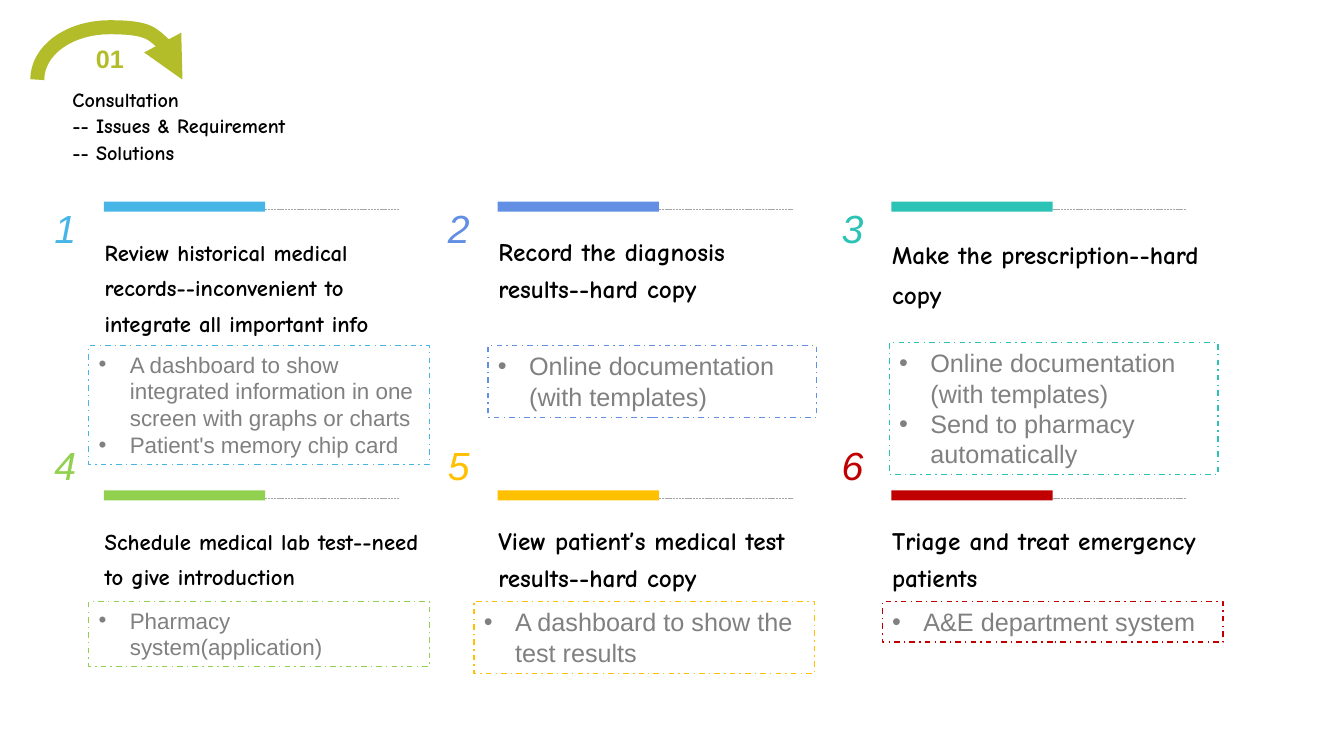
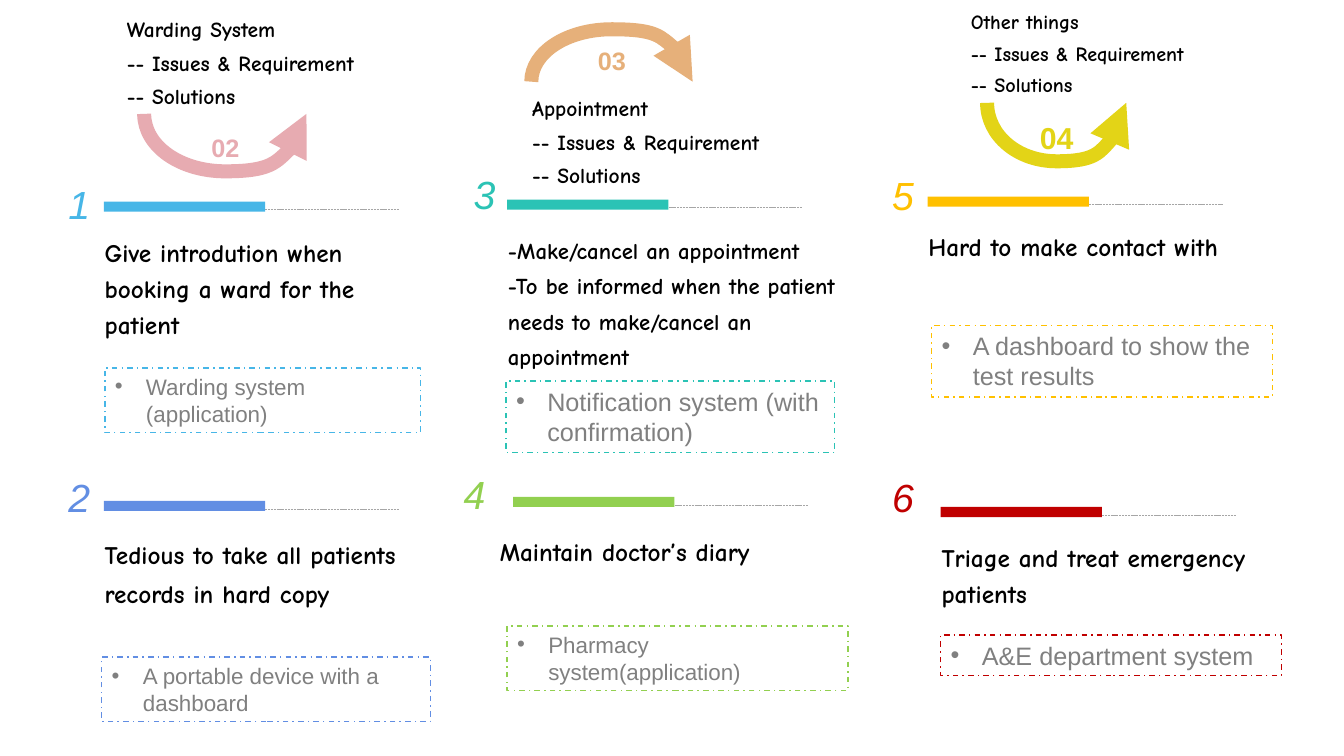
from dataclasses import dataclass

from lxml.etree import SubElement
from pptx import Presentation
from pptx.dml.color import RGBColor
from pptx.enum.dml import MSO_LINE
from pptx.enum.shapes import MSO_CONNECTOR, MSO_SHAPE
from pptx.enum.text import MSO_ANCHOR, MSO_AUTO_SIZE, PP_ALIGN
from pptx.oxml.ns import qn
from pptx.util import Inches, Pt

BLACK = RGBColor(0x00, 0x00, 0x00)
GREY = RGBColor(0x80, 0x80, 0x80)
RULE_GREY = RGBColor(0xA6, 0xA6, 0xA6)
BLUE = RGBColor(0x47, 0xB6, 0xE7)
INDIGO = RGBColor(0x62, 0x8E, 0xE3)
TEAL = RGBColor(0x2B, 0xC3, 0xB5)
GREEN = RGBColor(0x92, 0xD0, 0x50)
AMBER = RGBColor(0xFF, 0xC0, 0x00)
RED = RGBColor(0xC0, 0x00, 0x00)
OLIVE = RGBColor(0xB2, 0xBD, 0x29)
PINK = RGBColor(0xE7, 0xAB, 0xB1)
SAND = RGBColor(0xE6, 0xB0, 0x7A)
YELLOW = RGBColor(0xE3, 0xD4, 0x17)
ACCENTS = [BLUE, INDIGO, TEAL, GREEN, AMBER, RED]

BODY_FONT = "Arial"
HAND_FONT = "Comic Neue"
SUBTITLES = ["-- Issues & Requirement", "-- Solutions"]
GRID_LEFT, GRID_TOP = 1.03, 2.0
COLUMN_STEP, ROW_STEP = 3.905, 2.865
BAR_WIDTH, BAR_HEIGHT = 1.6, 0.1
RULE_START, RULE_END, RULE_DROP = 0.92, 2.93, 0.08
CURVE_X, CURVE_Y = 0.22, 0.56


@dataclass
class Card:
    """One numbered issue with its boxed solutions; places are in inches."""

    number: int
    bar: tuple
    number_shift: tuple
    issues: list
    solutions: list
    box: tuple
    issue_size: float = 18
    issue_spacing: float = 1.2
    solution_size: float = 18
    heading: tuple = (3.33, 0.86)
    heading_shift: tuple = (-0.09, 0.24)


@dataclass
class Section:
    """A section title with its number under or over a curved arrow."""

    number: str
    color: RGBColor
    arc: tuple
    opens_down: bool
    title: str
    title_box: tuple
    title_size: float
    spacing: float = 1.3
    number_size: float = 18
    anchor: MSO_ANCHOR = MSO_ANCHOR.TOP


def cell(column, row):
    """Return the bar position in a cell of the card grid."""
    return GRID_LEFT + column * COLUMN_STEP, GRID_TOP + row * ROW_STEP


def shifted(point, shift):
    """Move a point by a shift."""
    return point[0] + shift[0], point[1] + shift[1]


def write(shape, lines, font, size, color, bold=False, italic=False,
          spacing=None, align=PP_ALIGN.LEFT, anchor=MSO_ANCHOR.TOP):
    """Fill a shape with one paragraph a line and return the paragraphs."""
    frame = shape.text_frame
    frame.word_wrap = True
    frame.vertical_anchor = anchor
    for index, line in enumerate(lines):
        paragraph = frame.add_paragraph() if index else frame.paragraphs[0]
        paragraph.alignment = align
        if spacing:
            paragraph.line_spacing = spacing
        run = paragraph.add_run()
        run.text = line
        run.font.name = font
        run.font.size = Pt(size)
        run.font.bold = bold
        run.font.italic = italic
        run.font.color.rgb = color
    return frame.paragraphs


def add_text(slide, box, *content, **style):
    """Add a wrapping text box."""
    write(slide.shapes.add_textbox(*map(Inches, box)), *content, **style)


def add_rectangle(slide, box):
    """Add a rectangle without shadow."""
    shape = slide.shapes.add_shape(MSO_SHAPE.RECTANGLE, *map(Inches, box))
    shape.shadow.inherit = False
    return shape


def add_bar(slide, bar, color):
    """Add a coloured bar that runs on as a thin dashed rule."""
    left, top = bar
    y = Inches(top + RULE_DROP)
    rule = slide.shapes.add_connector(
        MSO_CONNECTOR.STRAIGHT, Inches(left + RULE_START), y, Inches(left + RULE_END), y)
    rule.line.color.rgb = RULE_GREY
    rule.line.width = Pt(0.5)
    rule.line.dash_style = MSO_LINE.SQUARE_DOT
    SubElement(rule._element.spPr, qn("a:effectLst"))
    shape = add_rectangle(slide, (left, top, BAR_WIDTH, BAR_HEIGHT))
    shape.fill.solid()
    shape.fill.fore_color.rgb = color
    shape.line.fill.background()


def add_solutions(slide, card, color):
    """Add the dash-dotted box with bulleted solutions."""
    shape = add_rectangle(slide, card.box)
    shape.fill.background()
    shape.line.color.rgb = color
    shape.line.width = Pt(1)
    shape.line.dash_style = MSO_LINE.DASH_DOT
    for paragraph in write(shape, card.solutions, BODY_FONT, card.solution_size, GREY):
        properties = paragraph._p.get_or_add_pPr()
        properties.set("marL", str(Inches(0.31)))
        properties.set("indent", str(-Inches(0.31)))
        SubElement(properties, qn("a:buFont"), typeface=BODY_FONT)
        SubElement(properties, qn("a:buChar"), char="•")
    shape.text_frame.auto_size = MSO_AUTO_SIZE.SHAPE_TO_FIT_TEXT


def add_card(slide, card):
    """Add a number, bar, issue text and solution box."""
    color = ACCENTS[card.number - 1]
    add_bar(slide, card.bar, color)
    add_text(slide, (*shifted(card.bar, card.heading_shift), *card.heading), card.issues,
             HAND_FONT, card.issue_size, BLACK, bold=True, spacing=card.issue_spacing)
    add_text(slide, (*shifted(card.bar, card.number_shift), 0.36, 1.14),
             [str(card.number)], BODY_FONT, 28, color, italic=True, spacing=1.3)
    add_solutions(slide, card, color)


def bend_segments(shape):
    """Turn each three straight segments into one cubic curve."""
    outline = next(shape._element.iter(qn("a:moveTo"))).getparent()
    segments = outline.findall(qn("a:lnTo"))
    for first in range(0, len(segments), 3):
        curve = SubElement(outline, qn("a:cubicBezTo"))
        for segment in segments[first:first + 3]:
            curve.append(segment[0])
            outline.remove(segment)


def add_arc(slide, section):
    """Add a thick half-ellipse arrow that holds the section number."""
    left, top, width, height = section.arc
    if section.opens_down:
        foot, crown = top + height, top
    else:
        foot, crown = top, top + height
    shoulder = foot + (crown - foot) * CURVE_Y
    right, middle = left + width, left + width / 2
    inset = width * CURVE_X
    points = [(left, shoulder), (left + inset, crown), (middle, crown),
              (right - inset, crown), (right, shoulder), (right, foot)]
    builder = slide.shapes.build_freeform(Inches(left), Inches(foot))
    builder.add_line_segments([(Inches(x), Inches(y)) for x, y in points], close=False)
    shape = builder.convert_to_shape()
    bend_segments(shape)
    shape.shadow.inherit = False
    shape.fill.background()
    shape.line.color.rgb = section.color
    shape.line.width = Pt(10)
    SubElement(shape._element.spPr.find(qn("a:ln")), qn("a:tailEnd"), type="triangle")
    write(shape, [section.number], BODY_FONT, section.number_size, section.color,
          bold=True, spacing=1.3, align=PP_ALIGN.CENTER, anchor=MSO_ANCHOR.MIDDLE)


def add_section(slide, section):
    """Add the curved arrow and the title of a section."""
    add_arc(slide, section)
    add_text(slide, section.title_box, [section.title, *SUBTITLES], HAND_FONT,
             section.title_size, BLACK, bold=True, spacing=section.spacing,
             align=PP_ALIGN.JUSTIFY, anchor=section.anchor)


CONSULTATION = [
    Section("01", OLIVE, (0.37, 0.27, 1.44, 0.52), True, "Consultation",
            (0.62, 0.79, 3.78, 0.87), 14.4, spacing=1.1),
]
UPPER, LOWER = (-0.59, -0.16), (-0.59, -0.68)
CONSULTATION_CARDS = [
    Card(1, cell(0, 0), UPPER,
         ["Review historical medical records--inconvenient to integrate all important info"],
         ["A dashboard to show integrated information in one screen with graphs or charts",
          "Patient's memory chip card"],
         (0.88, 3.43, 3.38, 1.18), 16.2, 1.3, 16, (3.46, 1.18)),
    Card(2, cell(1, 0), UPPER, ["Record the diagnosis results--hard copy"],
         ["Online documentation (with templates)"],
         (4.84, 3.43, 3.26, 0.71), heading=(3.33, 0.93)),
    Card(3, cell(2, 0), UPPER, ["Make the prescription--hard copy"],
         ["Online documentation (with templates)", "Send to pharmacy automatically"],
         (8.82, 3.4, 3.26, 1.31), issue_spacing=1.3, heading=(3.33, 0.93)),
    Card(4, cell(0, 1), LOWER, ["Schedule medical lab test--need to give introduction"],
         ["Pharmacy system(application)"],
         (0.88, 5.97, 3.38, 0.64), 16.2, 1.3, 16, (3.4, 0.87)),
    Card(5, cell(1, 1), LOWER, ["View patient’s medical test results--hard copy"],
         ["A dashboard to show the test results"], (4.7, 5.97, 3.38, 0.71)),
    Card(6, cell(2, 1), LOWER, ["Triage and treat emergency patients"],
         ["A&E department system"], (8.75, 5.97, 3.38, 0.4)),
]
OTHER_SECTIONS = [
    Section("02", PINK, (1.43, 1.13, 1.61, 0.57), False, "Warding System",
            (1.16, -0.12, 2.8, 1.25), 15.3, anchor=MSO_ANCHOR.BOTTOM),
    Section("03", SAND, (5.27, 0.29, 1.6, 0.52), True, "Appointment",
            (5.18, 0.82, 2.78, 1.42), 15.3),
    Section("04", YELLOW, (9.79, 1.02, 1.38, 0.58), False, "Other things",
            (9.53, -0.01, 2.85, 1.02), 14.4, number_size=21.6, anchor=MSO_ANCHOR.BOTTOM),
]
OTHER_CARDS = [
    Card(1, cell(0, 0), (-0.45, -0.4),
         ["Give introdution when booking a ward for the patient"],
         ["Warding system (application)"],
         (1.04, 3.65, 3.13, 0.64), solution_size=16, heading=(3.46, 1.18)),
    Card(2, (GRID_LEFT, 4.97), (-0.45, -0.46),
         ["Tedious to take all patients records in hard copy"],
         ["A portable device with a dashboard"],
         (1.01, 6.52, 3.26, 0.64), 18, 1.3, 16, (3.32, 1.31)),
    Card(3, (5.03, 1.98), (-0.43, -0.48),
         ["-Make/cancel an appointment",
          "-To be informed when the patient needs to make/cancel an appointment"],
         ["Notification system (with confirmation)"],
         (5.02, 3.78, 3.26, 0.71), 16.2, 1.3, heading=(3.47, 1.93)),
    Card(4, (5.09, 4.93), (-0.59, -0.45), ["Maintain doctor’s diary"],
         ["Pharmacy system(application)"],
         (5.03, 6.21, 3.38, 0.64), 18, 1.3, 16, (3.4, 0.87), (-0.23, 0.25)),
    Card(5, (9.2, 1.95), (-0.45, -0.44), ["Hard to make contact with"],
         ["A dashboard to show the test results"], (9.24, 3.23, 3.38, 0.71)),
    Card(6, (9.33, 5.03), (-0.58, -0.52), ["Triage and treat emergency patients"],
         ["A&E department system"], (9.33, 6.3, 3.38, 0.4)),
]


def main():
    """Build both slides and save them."""
    presentation = Presentation()
    presentation.slide_width = Inches(13.33)
    presentation.slide_height = Inches(7.5)
    blank = presentation.slide_layouts[6]
    for sections, cards in ((CONSULTATION, CONSULTATION_CARDS), (OTHER_SECTIONS, OTHER_CARDS)):
        slide = presentation.slides.add_slide(blank)
        for card in cards:
            add_card(slide, card)
        for section in sections:
            add_section(slide, section)
    presentation.save("out.pptx")


main()
